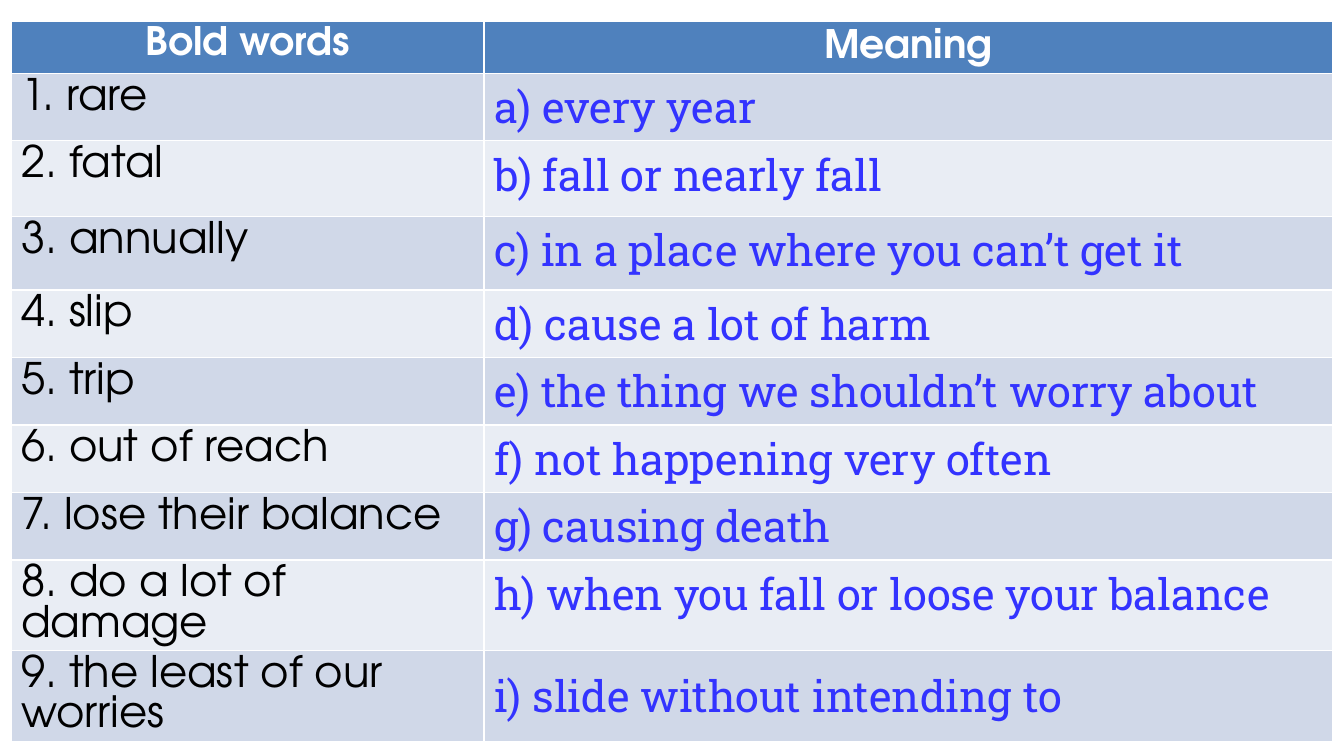
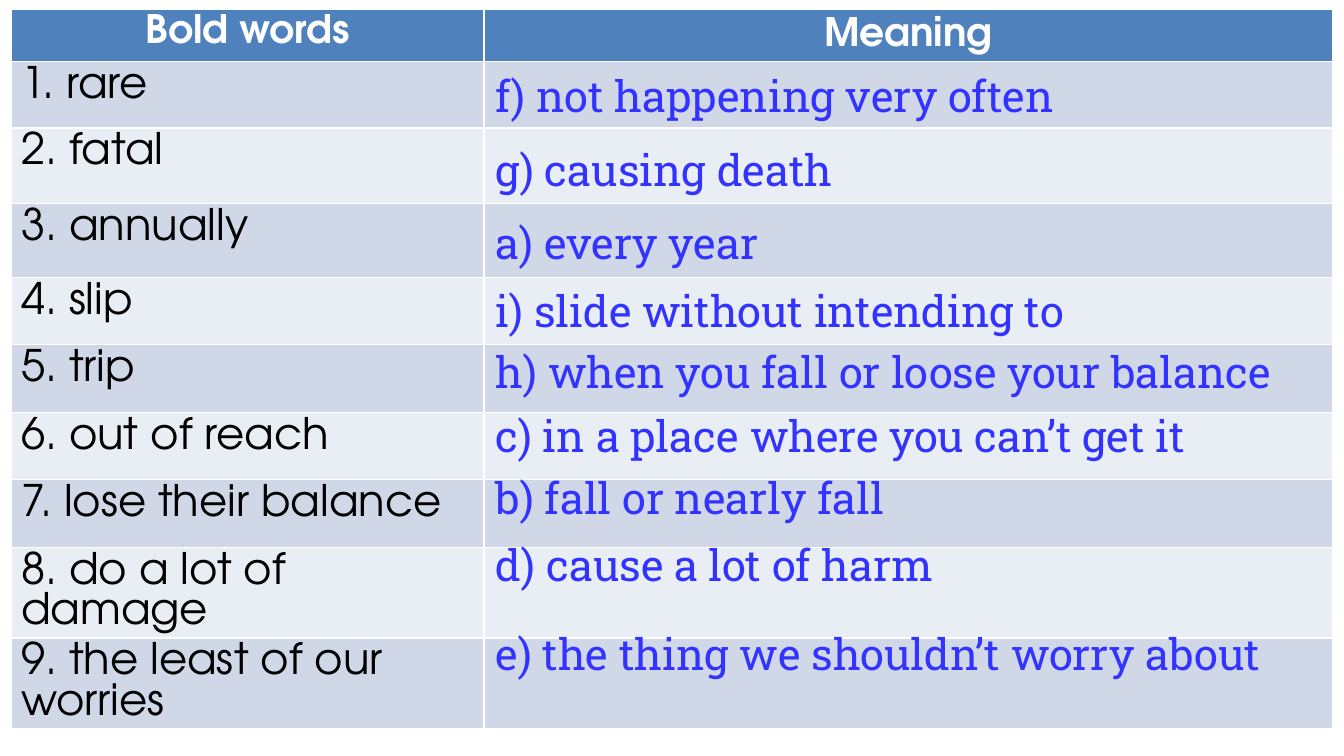
from pptx import Presentation
from pptx.dml.color import RGBColor
from pptx.enum.text import MSO_ANCHOR, MSO_AUTO_SIZE, PP_ALIGN
from pptx.util import Inches, Pt

WHITE = RGBColor(0xFF, 0xFF, 0xFF)
BLACK = RGBColor(0x00, 0x00, 0x00)
BLUE = RGBColor(0x33, 0x33, 0xFF)
HEAD = RGBColor(0x4F, 0x81, 0xBD)
DARK = RGBColor(0xD0, 0xD8, 0xE8)
LIGHT = RGBColor(0xE9, 0xED, 0xF4)
SANS = "TeX Gyre Adventor"
SLAB = "Roboto Slab"

LEFT, WIDTH = 0.11, 13.11
COLS = [4.69, 8.42]
ROWS = [0.52, 0.66, 0.75, 0.73, 0.67, 0.67, 0.67, 0.67, 0.9, 0.9]
WORDS = ["rare", "fatal", "annually", "slip", "trip", "out of reach",
         "lose their balance", "do a lot of damage",
         "the least of our worries"]
MEANINGS = {
    "a": "every year",
    "b": "fall or nearly fall",
    "c": "in a place where you can’t get it",
    "d": "cause a lot of harm",
    "e": "the thing we shouldn’t worry about",
    "f": "not happening very often",
    "g": "causing death",
    "h": "when you fall or loose your balance",
    "i": "slide without intending to",
}
# Letter, distance below the top of the table, width
ANSWERS = [("f", 0.55, 5.92), ("g", 1.28, 5.92), ("a", 2.0, 5.92),
           ("i", 2.68, 6.73), ("h", 3.28, 8.4), ("c", 3.92, 8.4),
           ("b", 4.53, 8.4), ("d", 5.2, 8.4), ("e", 6.08, 8.4)]


def write(frame, text, font=SANS, size=31, color=BLACK, bold=False,
          align=PP_ALIGN.LEFT, pitch=None):
    """Set one paragraph; pitch is a fixed line height in points."""
    para = frame.paragraphs[0]
    para.alignment = align
    if pitch:
        para.line_spacing = Pt(pitch)
    run = para.add_run()
    run.text = text
    run.font.name = font
    run.font.size = Pt(size)
    run.font.bold = bold
    run.font.color.rgb = color


def write_meaning(frame, letter):
    write(frame, f"{letter}) {MEANINGS[letter]}", font=SLAB, color=BLUE)


def add_grid(slide, top):
    """Add the table with its header and the column of words."""
    grid = slide.shapes.add_table(
        len(ROWS), len(COLS), Inches(LEFT), Inches(top),
        Inches(WIDTH), Inches(sum(ROWS))).table
    for col, width in zip(grid.columns, COLS):
        col.width = Inches(width)
    for index, (row, height) in enumerate(zip(grid.rows, ROWS)):
        row.height = Inches(height)
        for cell in row.cells:
            cell.fill.solid()
            band = DARK if index % 2 else LIGHT
            cell.fill.fore_color.rgb = band if index else HEAD
    for col, text in enumerate(["Bold words", "Meaning"]):
        write(grid.cell(0, col).text_frame, text, size=28, color=WHITE,
              bold=True, align=PP_ALIGN.CENTER, pitch=26)
    grid.cell(0, 1).vertical_anchor = MSO_ANCHOR.MIDDLE
    for number, word in enumerate(WORDS, 1):
        write(grid.cell(number, 0).text_frame, f"{number}. {word}",
              pitch=28.8)
    return grid


def add_task(slide, top):
    grid = add_grid(slide, top)
    for row, letter in enumerate(MEANINGS, 1):
        write_meaning(grid.cell(row, 1).text_frame, letter)
    grid.cell(len(WORDS), 1).vertical_anchor = MSO_ANCHOR.MIDDLE


def add_key(slide, top):
    """Add the table with the right meanings laid over it."""
    add_grid(slide, top)
    for letter, drop, width in ANSWERS:
        box = slide.shapes.add_textbox(
            Inches(LEFT + COLS[0] + 0.02), Inches(top + drop),
            Inches(width), Inches(0.62))
        frame = box.text_frame
        frame.word_wrap = True
        frame.auto_size = MSO_AUTO_SIZE.SHAPE_TO_FIT_TEXT
        write_meaning(frame, letter)


def main():
    deck = Presentation()
    deck.slide_width, deck.slide_height = Inches(13.33), Inches(7.5)
    blank = deck.slide_layouts[6]
    add_task(deck.slides.add_slide(blank), 0.21)
    add_key(deck.slides.add_slide(blank), 0.09)
    deck.save("out.pptx")


if __name__ == "__main__":
    main()
